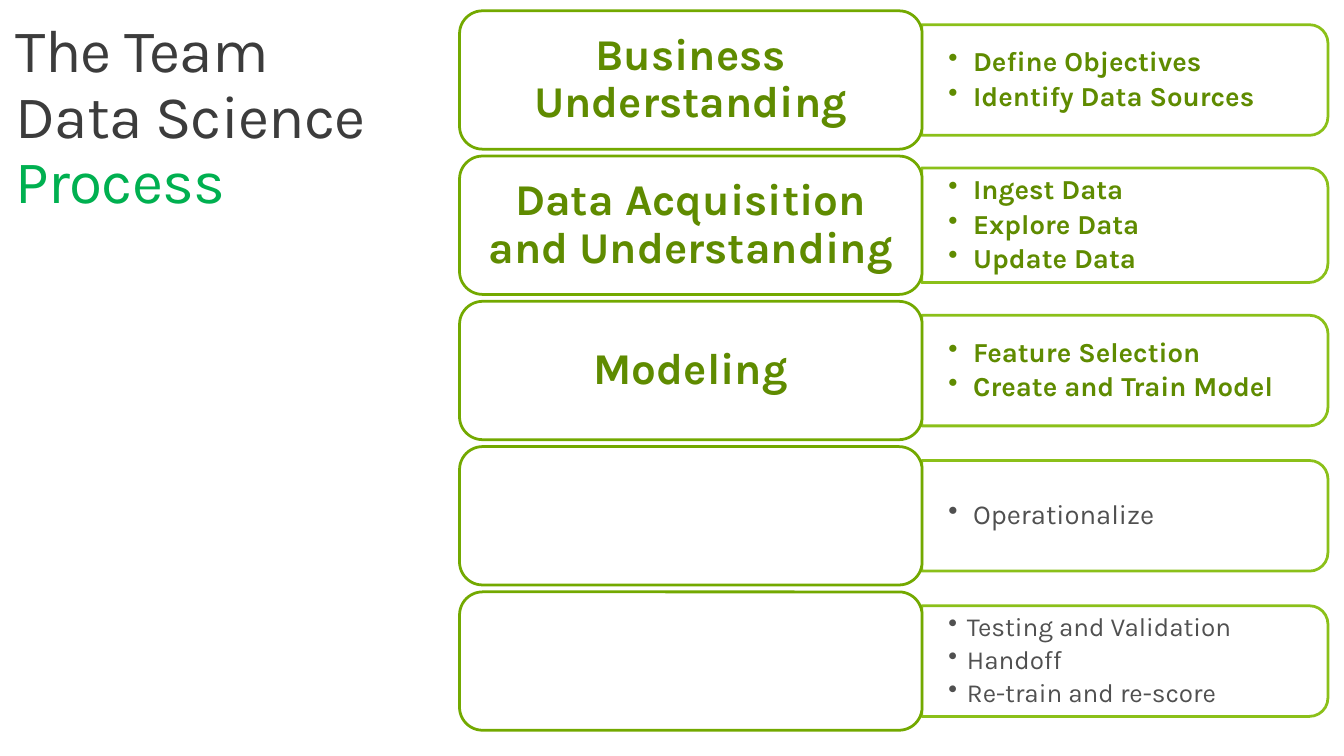
from dataclasses import dataclass

from pptx import Presentation
from pptx.dml.color import RGBColor
from pptx.enum.shapes import MSO_SHAPE as Shape
from pptx.enum.text import MSO_ANCHOR as Anchor, PP_ALIGN as Align
from pptx.oxml.ns import qn
from pptx.util import Pt
from lxml.etree import SubElement

# Content
TITLE = [("The Team Data Science ", "title"), ("Process", "accent")]
# stage name, detail points, detail style, detail box height
STAGES = [
    ("Business Understanding",
     ["Define Objectives", "Identify Data Sources"], "strong", 80.6),
    ("Data Acquisition and Understanding",
     ["Ingest Data", "Explore Data", "Update Data"], "strong", 83.5),
    ("Modeling",
     ["Feature Selection", "Create and Train Model"], "strong", 80.6),
    ("", ["Operationalize"], "plain", 80.6),
    ("", ["Testing and Validation", "Handoff", "Re-train and re-score"],
     "small", 80.6),
]


@dataclass(frozen=True)
class Theme:
    font: str = "Karla"
    white: str = "FFFFFF"
    stage_line: str = "73A900"
    detail_line: str = "7FBA00"
    line_width: float = 2
    detail_opacity: int = 90


THEME = Theme()
# style: size, colour, bold
STYLES = {
    "title": (44, "3C3C3C", False),
    "accent": (44, "00B050", False),
    "stage": (32, "5F8B00", True),
    "strong": (20, "5F8B00", True),
    "plain": (20, "505050", False),
    "small": (19, "505050", False),
}
BULLET_INDENT = {"strong": 18, "plain": 18, "small": 13.5}

# Layout in points
PAGE_WIDTH, PAGE_HEIGHT = 979.2, 550.8
STAGE_LEFT, STAGE_TOP, STAGE_WIDTH, STAGE_HEIGHT = 334.8, 7.9, 337, 100.8
STAGE_PITCH = 105.84
DETAIL_LEFT, DETAIL_WIDTH = 671.5, 296
DETAIL_TEXT_WIDTH = 291.6


def add_span(para, text, style):
    size, colour, bold = STYLES[style]
    span = para.add_run()
    span.text = text
    span.font.name = THEME.font
    span.font.size = Pt(size)
    span.font.bold = bold
    span.font.color.rgb = RGBColor.from_string(colour)
    return span


def set_frame(frame, side, edge, anchor):
    frame.word_wrap = True
    frame.vertical_anchor = anchor
    frame.margin_left = frame.margin_right = Pt(side)
    frame.margin_top = frame.margin_bottom = Pt(edge)


def add_box(page, kind, left, top, width, height, line):
    box = page.shapes.add_shape(kind, Pt(left), Pt(top), Pt(width), Pt(height))
    box.shadow.inherit = False
    box.fill.solid()
    box.fill.fore_color.rgb = RGBColor.from_string(THEME.white)
    box.line.color.rgb = RGBColor.from_string(line)
    box.line.width = Pt(THEME.line_width)
    return box


def add_bullet(para, indent):
    props = para._p.get_or_add_pPr()
    props.set("marL", str(Pt(indent)))
    props.set("indent", str(-Pt(indent)))
    SubElement(props, qn("a:buChar")).set("char", "•")


def add_title(page):
    box = page.shapes.add_textbox(Pt(0), Pt(7.9), Pt(278), Pt(162.7))
    set_frame(box.text_frame, 11.5, 7.2, Anchor.TOP)
    para = box.text_frame.paragraphs[0]
    para.line_spacing = 0.9
    for text, style in TITLE:
        span = add_span(para, text, style)
        span._r.get_or_add_rPr().set("spc", "-60")


def add_detail(page, middle, points, style, height):
    # The rounded end faces right: a tall box turned by a quarter
    box = add_box(page, Shape.ROUND_2_SAME_RECTANGLE,
                  DETAIL_LEFT + (DETAIL_WIDTH - height) / 2,
                  middle - DETAIL_WIDTH / 2,
                  height, DETAIL_WIDTH, THEME.detail_line)
    box.rotation = 90
    for colour in box._element.spPr.iter(qn("a:srgbClr")):
        SubElement(colour, qn("a:alpha")).set(
            "val", str(THEME.detail_opacity * 1000))

    # Bulleted points
    text_box = page.shapes.add_textbox(
        Pt(DETAIL_LEFT), Pt(middle - height / 2),
        Pt(DETAIL_TEXT_WIDTH), Pt(height))
    frame = text_box.text_frame
    set_frame(frame, 19.5, 10, Anchor.MIDDLE)
    for index, point in enumerate(points):
        para = frame.add_paragraph() if index else frame.paragraphs[0]
        para.line_spacing = 0.9
        para.space_after = Pt(round(STYLES[style][0] * 0.18, 1))
        add_bullet(para, BULLET_INDENT[style])
        add_span(para, point, style)


def add_stage(page, top, name):
    box = add_box(page, Shape.ROUNDED_RECTANGLE, STAGE_LEFT, top,
                  STAGE_WIDTH, STAGE_HEIGHT, THEME.stage_line)
    if name:
        set_frame(box.text_frame, 9.6, 4.8, Anchor.MIDDLE)
        para = box.text_frame.paragraphs[0]
        para.alignment = Align.CENTER
        para.line_spacing = 0.9
        add_span(para, name, "stage")


def main():
    deck = Presentation()
    deck.slide_width, deck.slide_height = Pt(PAGE_WIDTH), Pt(PAGE_HEIGHT)
    page = deck.slides.add_slide(deck.slide_layouts[6])
    add_title(page)
    for row, (name, points, style, height) in enumerate(STAGES):
        top = STAGE_TOP + row * STAGE_PITCH
        add_detail(page, top + STAGE_HEIGHT / 2, points, style, height)
        add_stage(page, top, name)
    deck.save("out.pptx")


if __name__ == "__main__":
    main()
